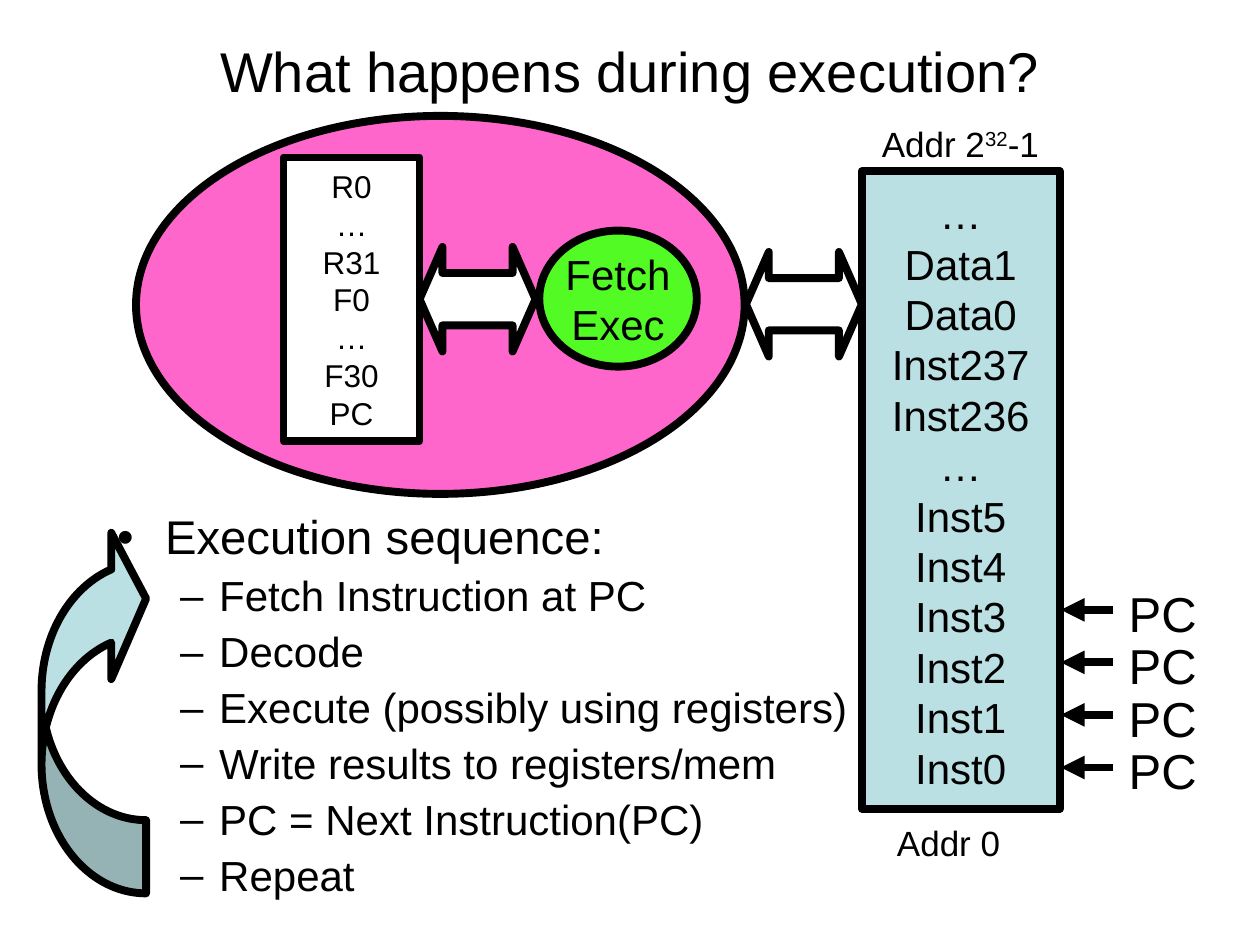
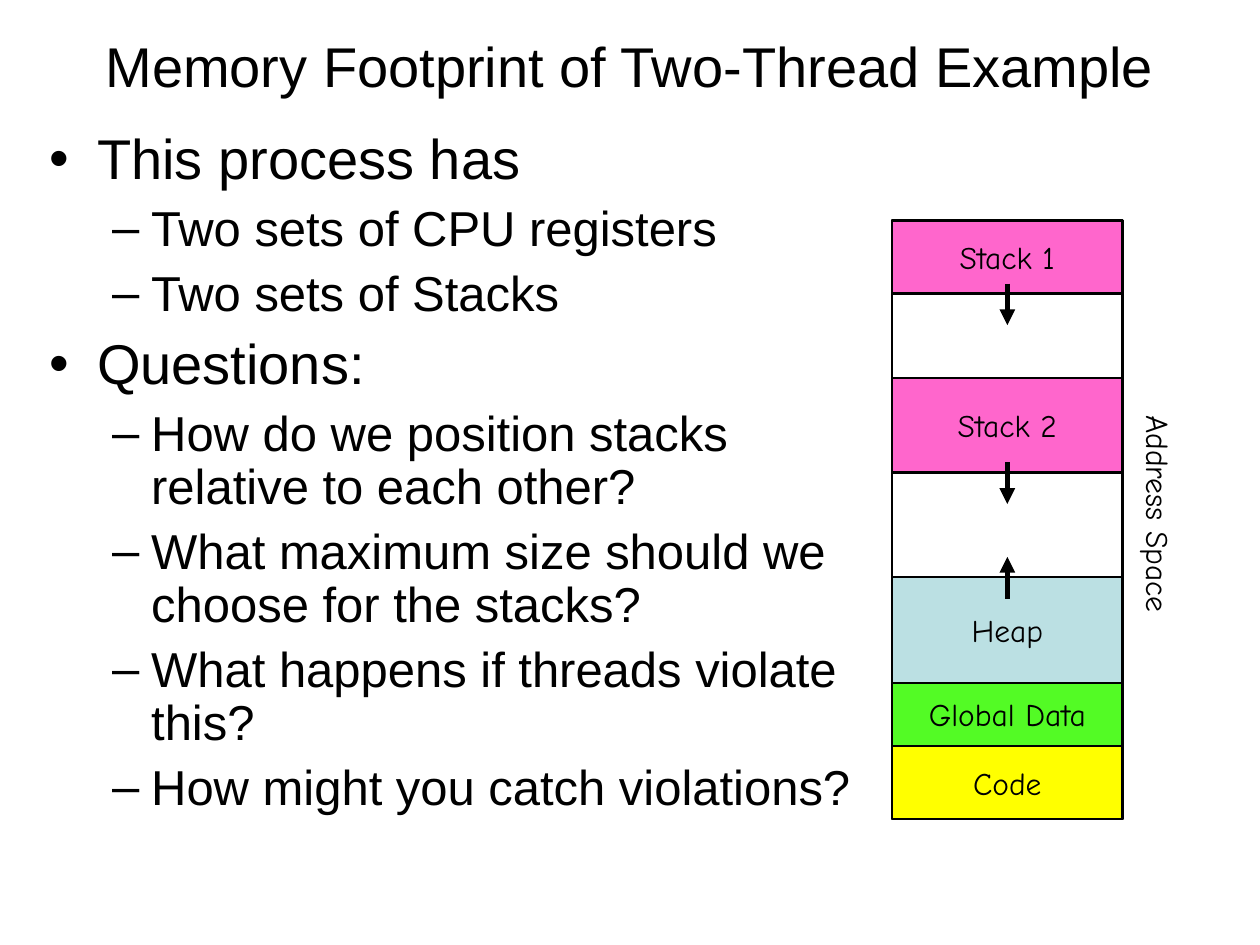
"""Build two slides on program execution and thread memory."""
from itertools import accumulate
from lxml import etree
from pptx import Presentation
from pptx.dml import color
from pptx.enum import shapes, text
from pptx.oxml import ns
from pptx.util import Inches, Pt

INK, WHITE, PINK, BLUE = "000000", "FFFFFF", "FF66CC", "BBE0E3"
GREEN, YELLOW = "53FB25", "FFFF00"
SANS, HAND = "Arial", "Comic Neue"
KIND, ALIGN = shapes.MSO_SHAPE, text.PP_ALIGN
MID, TOP = text.MSO_ANCHOR.MIDDLE, text.MSO_ANCHOR.TOP
LEVELS = [("•", 0.38, -0.38), ("–", 0.81, -0.31)]

RUN = {
    "title": "What happens during execution?",
    "head": (0.5, 0.25, 9, 0.62),
    "body": (0.83, 4.03, 6.25, 3.25),
    "sizes": (27, 24),
    "items": [
        (0, "Execution sequence:"),
        (1, "Fetch Instruction at PC"),
        (1, "Decode"),
        (1, "Execute (possibly using registers)"),
        (1, "Write results to registers/mem"),
        (1, "PC = Next Instruction(PC)"),
        (1, "Repeat"),
    ],
}
FOOT = {
    "title": "Memory Footprint of Two-Thread Example",
    "head": (0.5, 0.17, 9, 0.7),
    "body": (0.29, 0.99, 6.79, 5.76),
    "sizes": (32, 28),
    "items": [
        (0, "This process has"),
        (1, "Two sets of CPU registers"),
        (1, "Two sets of Stacks"),
        (0, "Questions:"),
        (1, "How do we position stacks relative to each other?"),
        (1, "What maximum size should we choose for the stacks?"),
        (1, "What happens if threads violate this?"),
        (1, "How might you catch violations?"),
    ],
}
REGS = ["R0", "…", "R31", "F0", "…", "F30", "PC"]
CELLS = ["…", "Data1", "Data0", "Inst237", "Inst236", "…", "Inst5",
         "Inst4", "Inst3", "Inst2", "Inst1", "Inst0"]
PARTS = [
    (KIND.OVAL, (1.08, 0.92, 4.83, 3), PINK, [], 18),
    (KIND.OVAL, (4.28, 1.83, 1.25, 1.08), GREEN, ["Fetch", "Exec"], 24),
    (KIND.LEFT_RIGHT_ARROW, (3.33, 1.96, 0.92, 0.83), WHITE, [], 18),
    (KIND.RECTANGLE, (2.25, 1.25, 1.08, 2.25), WHITE, REGS, 18),
    (KIND.LEFT_RIGHT_ARROW, (5.92, 2, 0.92, 0.83), WHITE, [], 18),
    (KIND.RECTANGLE, (6.84, 1.36, 1.57, 5.06), BLUE, CELLS, 24),
]
BENDS = {KIND.LEFT_RIGHT_ARROW: (0.5, 0.219),
         KIND.CURVED_RIGHT_ARROW: (0.7, 1.4, 0.333)}
STEPS, STEP = 4, 0.417
SPACE = (7.08, 1.75, 1.83, 4.75)
AREAS = [
    ("Stack 1", 0.58, PINK), ("", 0.67, WHITE),
    ("Stack 2", 0.75, PINK), ("", 0.83, WHITE),
    ("Heap", 0.84, BLUE), ("Global Data", 0.5, GREEN),
    ("Code", 0.58, YELLOW),
]
GROWTH = {"Stack 1": (0.5, 0.83), "Stack 2": (0.67, 1), "Heap": (0.17, -0.16)}


def rgb(code):
    """Turn a hex string into a colour."""
    return color.RGBColor.from_string(code)


def put(item, **values):
    """Set each given attribute."""
    for name, value in values.items():
        setattr(item, name, value)


def place(item, box):
    """Move and size a shape in inches."""
    names = ("left", "top", "width", "height")
    put(item, **dict(zip(names, map(Inches, box))))


def write(para, words, size, face=SANS, base=None):
    """Add a formatted run."""
    run = para.add_run()
    run.text = words
    put(run.font, name=face, size=Pt(size))
    run.font.color.rgb = rgb(INK)
    if base:
        run.font._element.set("baseline", base)


def fill(frame, lines, size, face=SANS, align=ALIGN.CENTER):
    """Write one paragraph per line."""
    for i, line in enumerate(lines):
        para = frame.add_paragraph() if i else frame.paragraphs[0]
        para.alignment = align
        write(para, line, size, face)


def draw(slide, kind, box, tint, lines, size, face=SANS, width=4.5):
    """Add an outlined shape with centred lines."""
    item = slide.shapes.add_shape(kind, *map(Inches, box))
    item.shadow.inherit = False
    item.fill.solid()
    item.fill.fore_color.rgb = rgb(tint)
    item.line.color.rgb = rgb(INK)
    item.line.width = Pt(width)
    for i, bend in enumerate(BENDS.get(kind, ())):
        item.adjustments[i] = bend
    put(item.text_frame, word_wrap=False, vertical_anchor=MID)
    fill(item.text_frame, lines, size, face)
    return item


def label(slide, box, words, size, face=SANS, align=ALIGN.LEFT):
    """Add a plain text box."""
    item = slide.shapes.add_textbox(*map(Inches, box))
    item.text_frame.word_wrap = False
    fill(item.text_frame, [words], size, face, align)
    return item


def arrow(slide, start, end, width):
    """Add a straight line with an arrowhead at its end."""
    kind = shapes.MSO_CONNECTOR.STRAIGHT
    line = slide.shapes.add_connector(kind, *map(Inches, start + end))
    line.line.color.rgb = rgb(INK)
    line.line.width = Pt(width)
    tip = etree.SubElement(line.line._get_or_add_ln(), ns.qn("a:tailEnd"))
    tip.set("type", "triangle")
    etree.SubElement(line._element.spPr, ns.qn("a:effectLst"))


def bullet(para, level):
    """Give a paragraph its mark and indent."""
    mark, left, hang = LEVELS[level]
    para.level = level
    props = para._p.get_or_add_pPr()
    props.set("marL", str(Inches(left)))
    props.set("indent", str(Inches(hang)))
    etree.SubElement(props, ns.qn("a:buChar")).set("char", mark)


def start(deck, data):
    """Add a slide with its title and list."""
    slide = deck.slides.add_slide(deck.slide_layouts[1])
    head, body = slide.placeholders
    for item, box, anchor in ((head, data["head"], MID), (body, data["body"], TOP)):
        place(item, box)
        put(item.text_frame, word_wrap=True, vertical_anchor=anchor,
            auto_size=text.MSO_AUTO_SIZE.NONE)
    fill(head.text_frame, [data["title"]], 32)
    frame = body.text_frame
    for i, (level, words) in enumerate(data["items"]):
        para = frame.add_paragraph() if i else frame.paragraphs[0]
        size = data["sizes"][level]
        bullet(para, level)
        put(para, line_spacing=0.9, space_before=Pt(size / 4 if i else 0))
        write(para, words, size)
    return slide


def execute(deck):
    """Build the execution slide."""
    slide = start(deck, RUN)
    for part in PARTS:
        draw(slide, *part)
    label(slide, (7.02, 6.47, 1.02, 0.44), "Addr 0", 20)
    high = label(slide, (6.9, 0.92, 1.45, 0.44), "Addr 2", 20)
    para = high.text_frame.paragraphs[0]
    write(para, "32", 20, base="30000")
    write(para, "-1", 20)
    for i in range(STEPS):
        y = 4.84 + i * STEP
        label(slide, (8.86, y - 0.26, 0.74, 0.57), "PC", 28)
        arrow(slide, (8.83, y), (8.42, y), 4.5)
    loop = draw(slide, KIND.CURVED_RIGHT_ARROW, (0.33, 4.17, 0.83, 2.92), BLUE, [], 18)
    loop._element.spPr.xfrm.set("flipV", "1")


def memory(deck):
    """Build the address space slide."""
    slide = start(deck, FOOT)
    left, top, wide, _ = SPACE
    draw(slide, KIND.RECTANGLE, SPACE, WHITE, [], 18, width=1.5)
    tops = list(accumulate((tall for _, tall, _ in AREAS), initial=top))
    for y, (name, tall, tint) in zip(tops, AREAS):
        if name:
            draw(slide, KIND.RECTANGLE, (left, y, wide, tall), tint, [name], 18, HAND, 1.5)
    mid = left + wide / 2
    for y, (name, *_) in zip(tops, AREAS):
        if name in GROWTH:
            here, there = GROWTH[name]
            arrow(slide, (mid, y + here), (mid, y + there), 3)
    side = label(slide, (8.31, 3.88, 1.77, 0.4), "Address Space", 18, HAND, ALIGN.CENTER)
    side.rotation = 90


def main():
    """Build and save the deck."""
    deck = Presentation()
    put(deck, slide_width=Inches(10), slide_height=Inches(7.5))
    execute(deck)
    memory(deck)
    deck.save("out.pptx")


if __name__ == "__main__":
    main()
